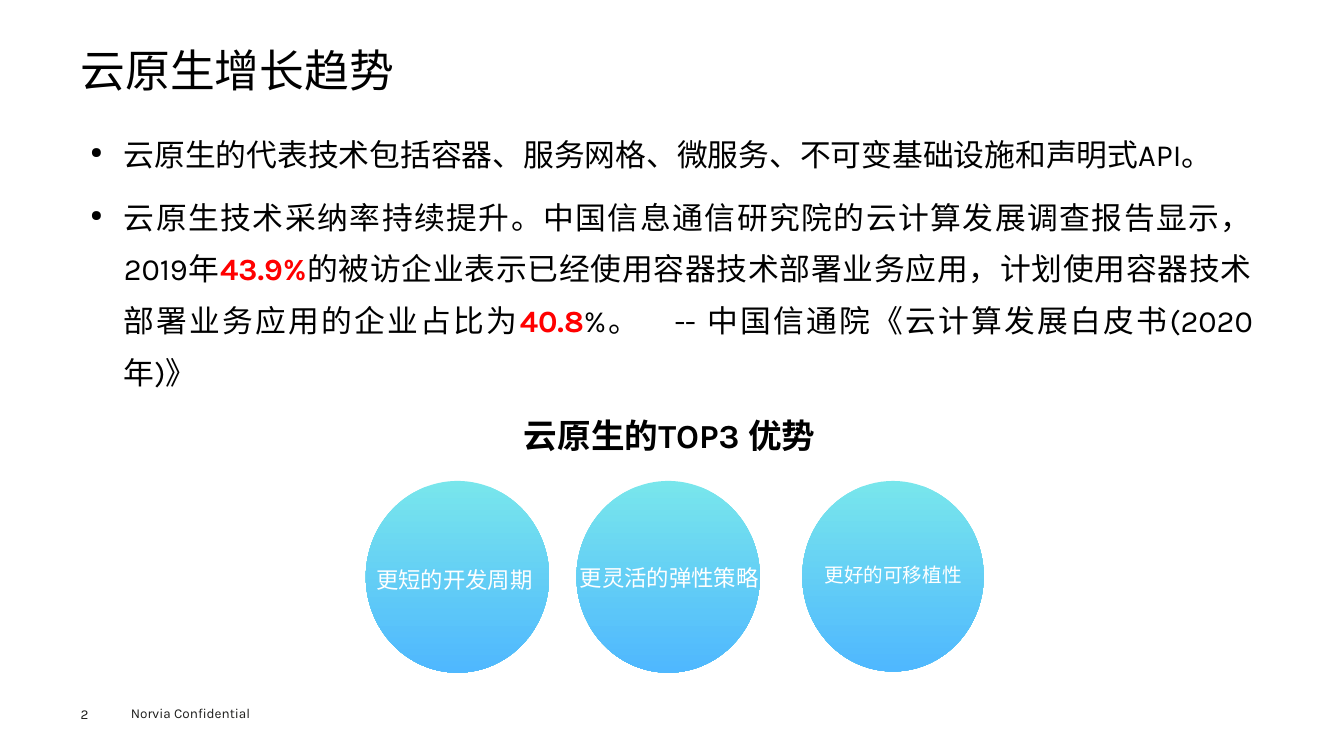
from lxml import etree
from pptx import Presentation
from pptx.dml.color import RGBColor
from pptx.enum.shapes import MSO_SHAPE
from pptx.enum.text import PP_ALIGN
from pptx.oxml.ns import qn
from pptx.util import Cm, Pt

OVAL = MSO_SHAPE.OVAL
LEFT, CENTER, JUSTIFY = PP_ALIGN.LEFT, PP_ALIGN.CENTER, PP_ALIGN.JUSTIFY

FONT = "Karla"
BLACK = RGBColor(0x00, 0x00, 0x00)
WHITE = RGBColor(0xFF, 0xFF, 0xFF)
RED = RGBColor(0xFF, 0x00, 0x00)
GREY = RGBColor(0x1D, 0x1D, 0x1B)
CYAN = RGBColor(0x40, 0xDC, 0xE4)
BLUE = RGBColor(0x05, 0x9A, 0xFF)

# Each point is a list of (text, is key figure)
POINTS = [
    [("云原生的代表技术包括容器、服务网格、微服务、不可变基础设施和声明式API。", False)],
    [
        ("云原生技术采纳率持续提升。中国信息通信研究院的云计算发展调查报告显示，2019年", False),
        ("43.9%", True),
        ("的被访企业表示已经使用容器技术部署业务应用，计划使用容器技术部署业务应用的企业占比为", False),
        ("40.8", True),
        ("%。　-- 中国信通院《云计算发展白皮书(2020年)》", False),
    ],
]

# Circle left, width, height; label text, left, top, width, size
GAINS = [
    (9.22, 4.62, 4.83, "更短的开发周期", 8.76, 14.15, 5.38, 16),
    (14.53, 4.62, 4.83, "更灵活的弹性策略", 14.3, 14.1, 5.13, 16),
    (20.22, 4.57, 4.8, "更好的可移植性", 20.07, 14.07, 4.88, 14),
]


def add_box(slide, left, top, width, height, inset=True):
    box = slide.shapes.add_textbox(Cm(left), Cm(top), Cm(width), Cm(height))
    frame = box.text_frame
    frame.word_wrap = True
    if not inset:
        frame.margin_left = frame.margin_right = 0
        frame.margin_top = frame.margin_bottom = 0
    return frame


def set_font(font, size, color, bold=False):
    font.name = FONT
    font.size = Pt(size)
    font.color.rgb = color
    font.bold = bold


def add_line(slide, area, text, size, color, align=LEFT, bold=False, inset=True):
    para = add_box(slide, *area, inset).paragraphs[0]
    para.text = text
    para.alignment = align
    set_font(para.font, size, color, bold)
    return para


def add_bullet(para):
    props = para._p.get_or_add_pPr()
    props.set("marL", str(Cm(0.84)))
    props.set("indent", str(-Cm(0.84)))
    etree.SubElement(props, qn("a:buSzPct")).set("val", "50000")
    etree.SubElement(props, qn("a:buChar")).set("char", "●")


def add_points(slide):
    frame = add_box(slide, 2.03, 2.92, 29.79, 13.56)
    for index, parts in enumerate(POINTS):
        para = frame.add_paragraph() if index else frame.paragraphs[0]
        add_bullet(para)
        para.alignment = JUSTIFY
        para.line_spacing = 1.4
        if index:
            para.space_before = Pt(7.9)
        for text, key in parts:
            run = para.add_run()
            run.text = text
            set_font(run.font, 22, RED if key else BLACK, key)


def add_circle(slide, left, width, height):
    oval = slide.shapes.add_shape(OVAL, Cm(left), Cm(12.12), Cm(width), Cm(height))
    oval.shadow.inherit = False
    oval.line.fill.background()
    oval.fill.gradient()
    oval.fill.gradient_angle = 270
    for stop, color in zip(oval.fill.gradient_stops, (CYAN, BLUE)):
        stop.color.rgb = color
    for stop, place in zip(oval.fill.gradient_stops, (0, 1)):
        stop.position = place
    # Let the white page show through
    for tint in oval._element.spPr.iter(qn("a:srgbClr")):
        etree.SubElement(tint, qn("a:alpha")).set("val", "70000")


def main():
    deck = Presentation()
    deck.slide_width, deck.slide_height = Cm(33.87), Cm(19.05)
    slide = deck.slides.add_slide(deck.slide_layouts[6])

    # Footer
    add_line(slide, (3.05, 17.65, 4.06, 0.69), "Norvia Confidential", 9.7, GREY)
    add_line(slide, (2.03, 17.78, 1.4, 0.41), "2", 9.7, GREY, inset=False)

    # Title and points
    title = add_line(slide, (2.03, 1.24, 29.79, 1.35), "云原生增长趋势", 32, BLACK, inset=False)
    title.line_spacing = 0.9
    add_points(slide)

    # Top three gains
    add_line(slide, (11.96, 10.34, 9.83, 1.27), "云原生的TOP3 优势", 24, BLACK, CENTER, True)
    for left, width, height, text, start, top, span, size in GAINS:
        add_circle(slide, left, width, height)
        add_line(slide, (start, top, span, 0.94), text, size, WHITE, CENTER)

    deck.save("out.pptx")


if __name__ == "__main__":
    main()
